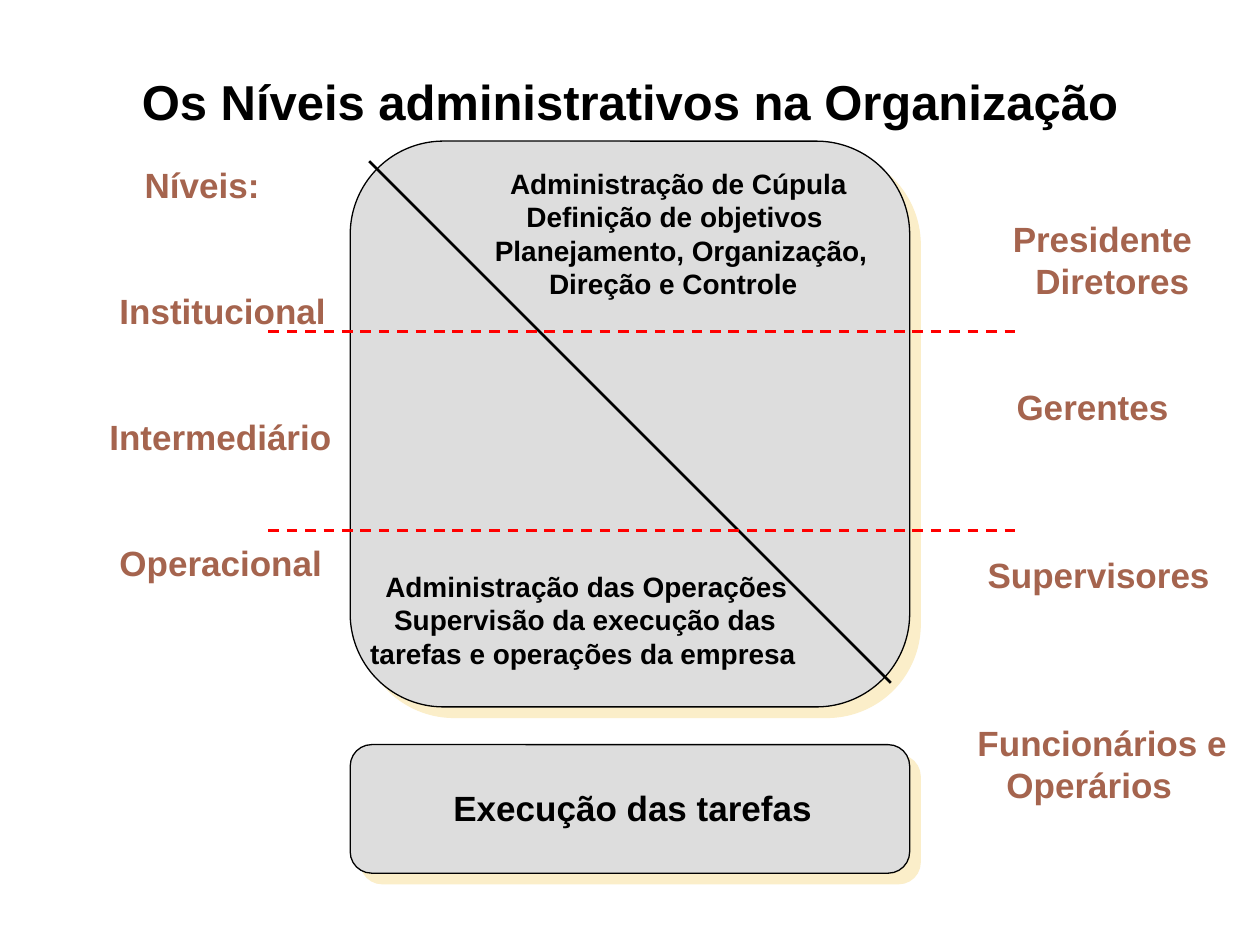
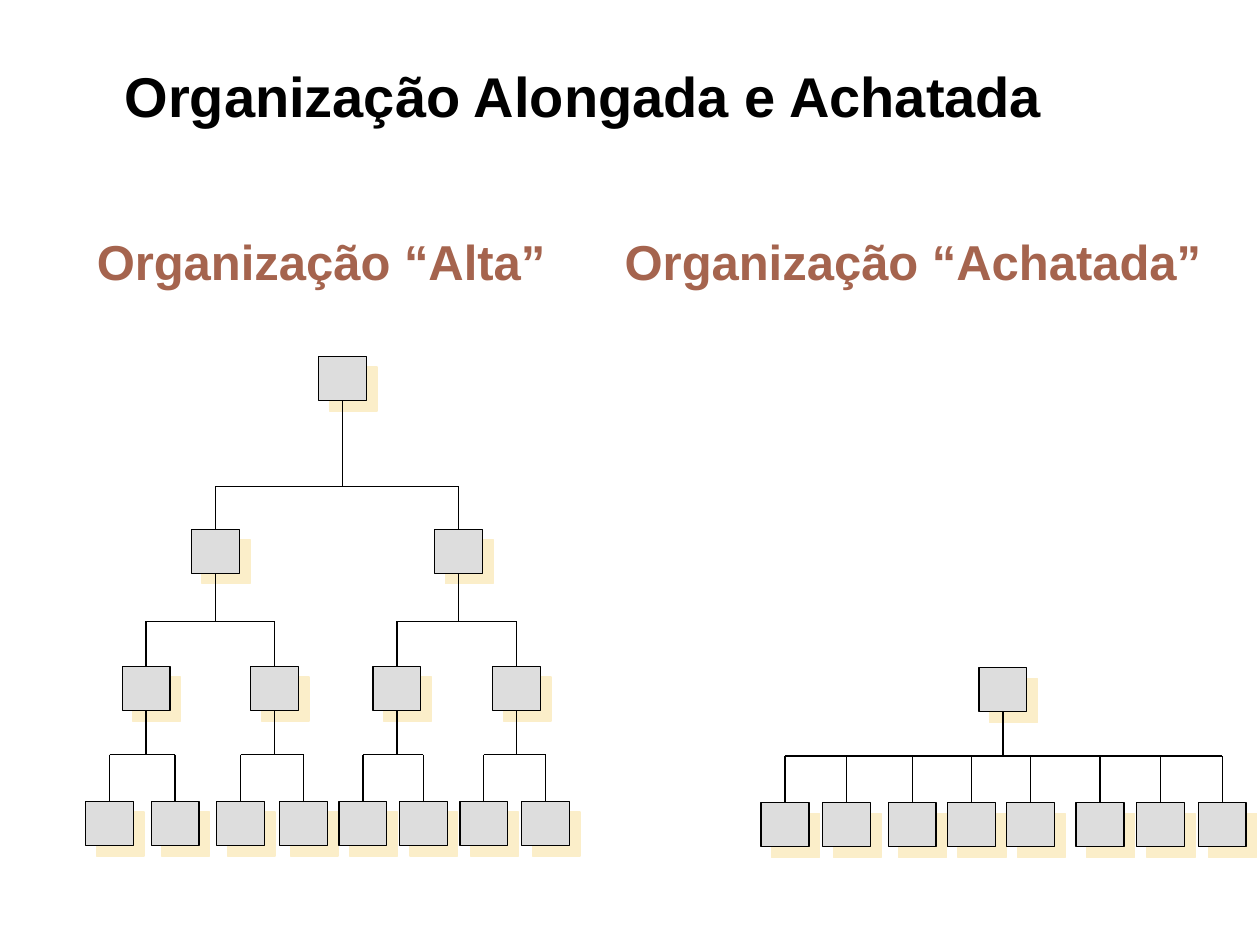
from lxml import etree
from pptx import Presentation
from pptx import util as u
from pptx.dml.color import RGBColor
from pptx.enum import dml, shapes, text
from pptx.oxml import ns

# Shared look
INK = {"black": "000000", "brown": "A5644E", "grey": "DDDDDD",
       "cream": "FBEEC9", "red": "FF0000"}
FONT = "Arial"
LEAD = 1.2            # line height as a multiple of the text size

# The slide is a grid of 100 columns and 75 rows
WIDE, HIGH = u.Inches(10), u.Inches(7.5)
BOX_W, BOX_H = 3.8, 3.5


def col(n):
    return round(WIDE * n / 100)


def row(n):
    return round(HIGH * n / 75)


def rgb(name):
    return RGBColor.from_string(INK[name])


# Kinds of element
def write(slide, place, lines, size, ink="black", align=text.PP_ALIGN.LEFT):
    """Each line is (words, indent in columns, blank lines above)."""
    x, y, w, h = place
    box = slide.shapes.add_textbox(col(x), row(y), col(w), row(h))
    frame = box.text_frame
    frame.word_wrap = True
    frame.text = "\n".join(words for words, _, _ in lines)
    for para, (_, indent, gap) in zip(frame.paragraphs, lines):
        para._p.get_or_add_pPr().set("marL", str(col(indent)))
        para.alignment = align
        para.line_spacing = u.Pt(size * LEAD)
        para.space_before = u.Pt(gap * size * LEAD)
        for run in para.runs:
            font = run.font
            font.name, font.size, font.bold = FONT, u.Pt(size), True
            font.color.rgb = rgb(ink)


def title(slide, place, words, size, align=text.PP_ALIGN.LEFT):
    write(slide, place, [(words, 0, 0)], size, align=align)


def block(slide, kind, x, y, w, h):
    """Grey shape with a hard cream shadow."""
    shape = slide.shapes.add_shape(kind, col(x), row(y), col(w), row(h))
    shape.fill.solid()
    shape.fill.fore_color.rgb = rgb("grey")
    shape.line.color.rgb = rgb("black")
    shape.line.width = u.Pt(0.75)
    shape.shadow.inherit = False
    effects = shape._element.spPr.find(ns.qn("a:effectLst"))
    shade = etree.SubElement(effects, ns.qn("a:outerShdw"), blurRad="0",
                             dist=str(u.Pt(8.5)), dir=str(45 * 60000),
                             algn="ctr", rotWithShape="0")
    etree.SubElement(shade, ns.qn("a:srgbClr"), val=INK["cream"])
    return shape


def rule(slide, start, end, ink="black", width=0.75, dash=False):
    line = slide.shapes.add_connector(
        shapes.MSO_CONNECTOR.STRAIGHT,
        col(start[0]), row(start[1]), col(end[0]), row(end[1]))
    line.line.color.rgb = rgb(ink)
    line.line.width = u.Pt(width)
    if dash:
        line.line.dash_style = dml.MSO_LINE.DASH
    etree.SubElement(line._element.spPr, ns.qn("a:effectLst"))
    return line


def tree(slide, levels, buses):
    """Levels are (top row, box centres); each bus row joins two levels."""
    boxes = [[block(slide, shapes.MSO_SHAPE.RECTANGLE,
                    x - BOX_W / 2, top, BOX_W, BOX_H) for x in mids]
             for top, mids in levels]
    for i, bus in enumerate(buses):
        (top, heads), (low, kids) = levels[i:i + 2]
        share = len(kids) // len(heads)
        for j, x in enumerate(heads):
            stem = rule(slide, (x, top + BOX_H), (x, bus))
            stem.begin_connect(boxes[i][j], 2)
            group = kids[j * share:(j + 1) * share]
            rule(slide, (group[0], bus), (group[-1], bus))
        for x, box in zip(kids, boxes[i + 1]):
            drop = rule(slide, (x, bus), (x, low))
            drop.end_connect(box, 0)


# Slides
def tiers(slide):
    frame = shapes.MSO_SHAPE.FLOWCHART_ALTERNATE_PROCESS
    block(slide, frame, 27.8, 11.2, 44.4, 44.9)
    block(slide, frame, 27.8, 59.1, 44.4, 10.2)

    # Work of each level
    write(slide, (38.3, 12.7, 33, 11.7), [
        ("Administração de Cúpula", 1.2, 0),
        ("Definição de objetivos", 2.5, 0),
        ("Planejamento, Organização,", 0, 0),
        ("Direção e Controle", 4.3, 0)], 16)
    write(slide, (28.4, 44.7, 37, 9), [
        ("Administração das Operações", 1.2, 0),
        ("Supervisão da execução das", 1.9, 0),
        ("tarefas e operações da empresa", 0, 0)], 16)
    write(slide, (35, 61.9, 32, 4.4), [("Execução das tarefas", 0, 0)], 20)

    # Names of the levels and the people in them
    write(slide, (7.7, 12.5, 20.6, 34.4), [
        ("Níveis:", 2.8, 0),
        ("Institucional", 0.8, 2),
        ("Intermediário", 0, 2),
        ("Operacional", 0.8, 2)], 20, "brown")
    write(slide, (76.6, 16.8, 23, 47.7), [
        ("Presidente", 2.8, 0),
        ("Diretores", 4.6, 0),
        ("Gerentes", 3.1, 2),
        ("Supervisores", 0.8, 3),
        ("Funcionários e", 0, 3),
        ("Operários", 2.3, 0)], 20, "brown")

    # Dividing lines
    rule(slide, (29.3, 12.8), (70.7, 54.2), width=1.5)
    for y in (26.3, 42.1):
        rule(slide, (21.3, y), (80.6, y), "red", 1.5, dash=True)

    title(slide, (0, 5.2, 100, 5.7),
          "Os Níveis administrativos na Organização", 28,
          text.PP_ALIGN.CENTER)


def charts(slide):
    title(slide, (8.9, 4.4, 77, 6.4), "Organização Alongada e Achatada", 32)
    for x, w, words in ((6.7, 40, "Organização “Alta”"),
                        (48.6, 50, "Organização “Achatada”")):
        write(slide, (x, 17.9, w, 5.7), [(words, 0, 0)], 28, "brown")

    # Tall organisation
    tree(slide, [
        (28.3, [27.2]),
        (42, [17.1, 36.4]),
        (52.9, [11.6, 21.8, 31.5, 41]),
        (63.6, [8.7, 13.9, 19.1, 24.1, 28.8, 33.6, 38.4, 43.3])],
        [38.6, 49.3, 59.9])

    # Flat organisation
    tree(slide, [
        (53, [79.6]),
        (63.7, [62.3, 67.2, 72.4, 77.1, 81.8, 87.3, 92.1, 97])],
        [60])


def main():
    deck = Presentation()
    deck.slide_width, deck.slide_height = WIDE, HIGH
    for fill in (tiers, charts):
        fill(deck.slides.add_slide(deck.slide_layouts[6]))
    deck.save("out.pptx")


if __name__ == "__main__":
    main()
